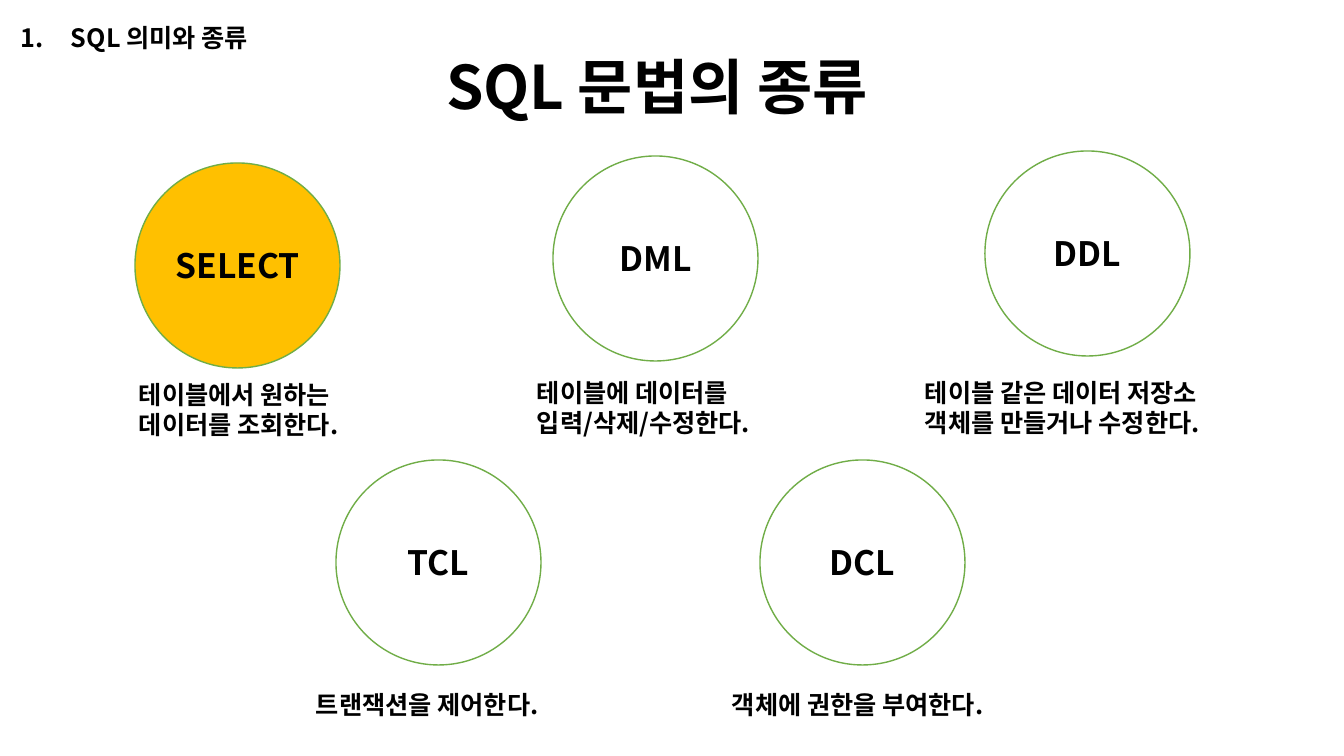
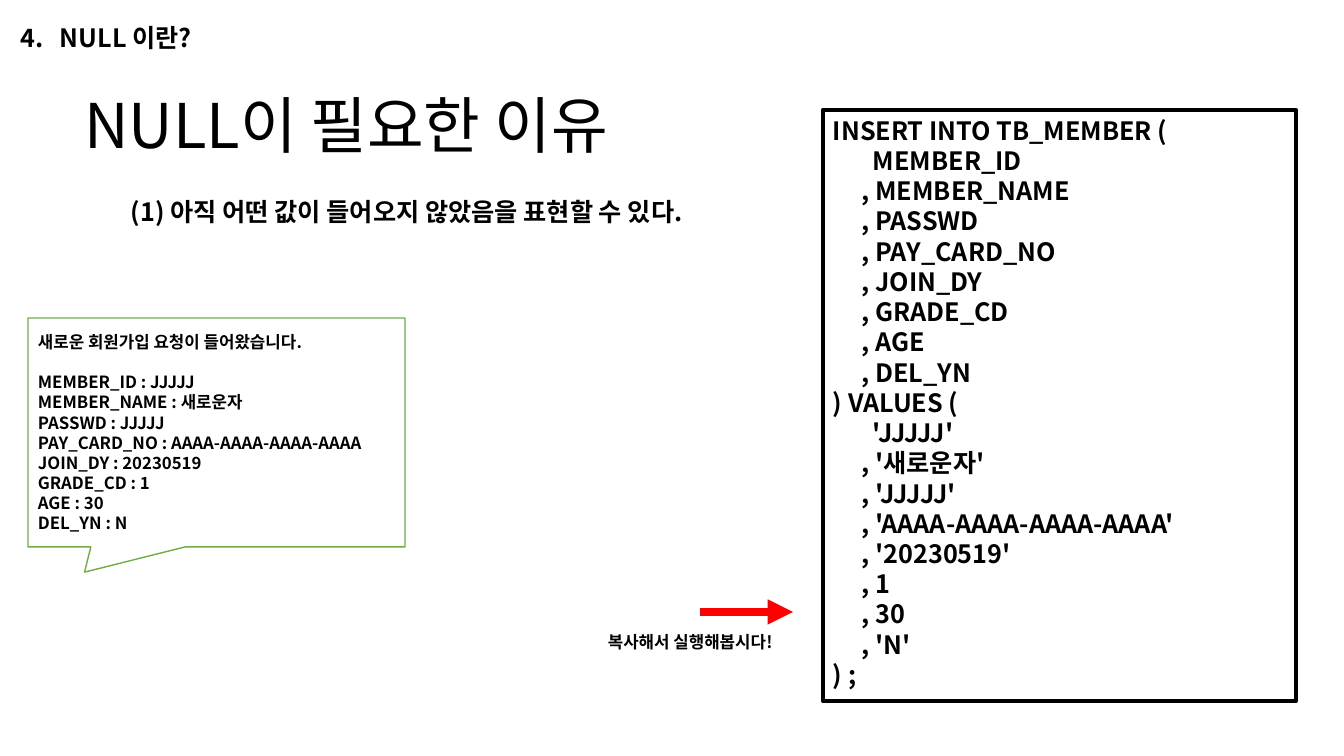
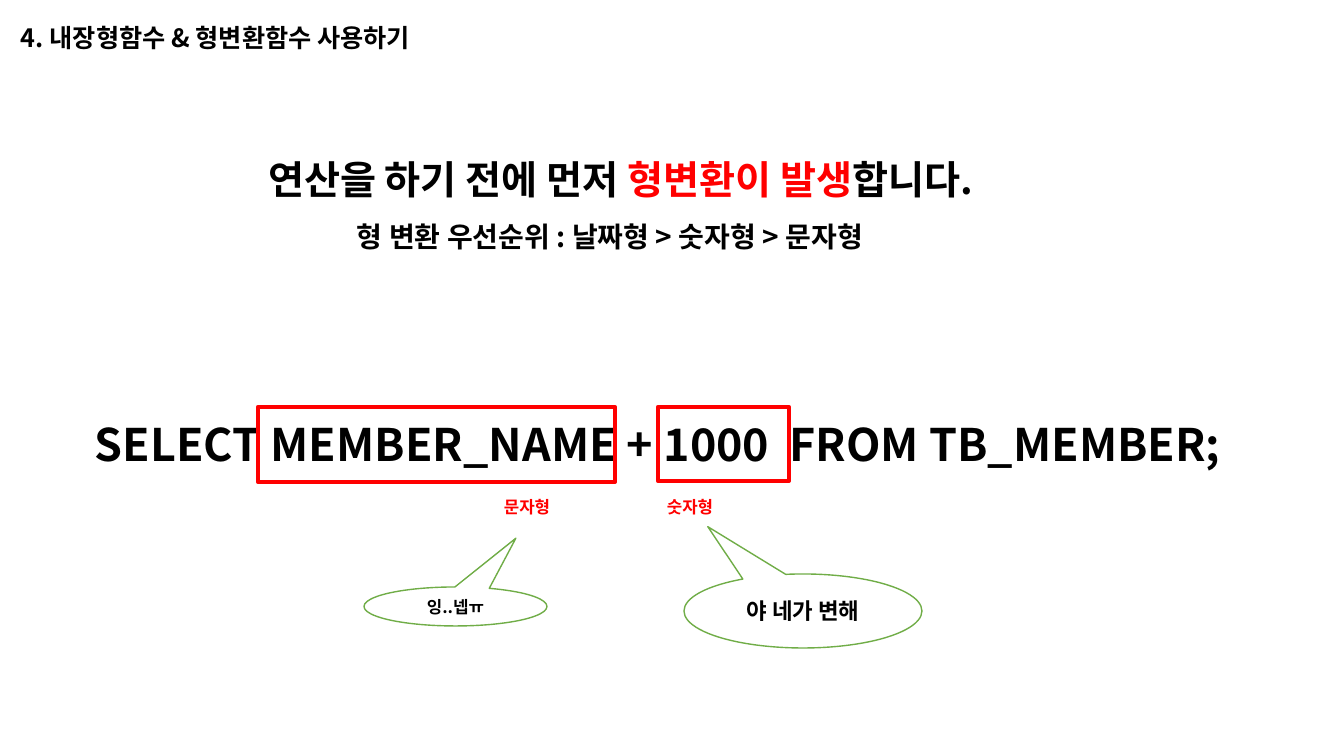
import dataclasses
import pptx
import pptx.util
import pptx.dml.color
import pptx.enum.shapes
import pptx.enum.text
import pptx.oxml
import pptx.oxml.ns

SHAPE = pptx.enum.shapes.MSO_SHAPE
ALIGN = pptx.enum.text.PP_ALIGN
ANCHOR = pptx.enum.text.MSO_ANCHOR
PX = 914400 / 100.8


@dataclasses.dataclass(frozen=True)
class Theme:
    font: str = "Noto Sans CJK KR"
    ink: str = "000000"
    paper: str = "FFFFFF"
    green: str = "70AD47"
    gold: str = "FFC000"
    red: str = "FF0000"
    title: float = 44
    fit: float = 42.9
    code: float = 32
    lead: float = 28
    name: float = 24
    rule: float = 20
    body: float = 18
    talk: float = 16
    small: float = 12
    thin: float = 1
    thick: float = 3
    arrow: float = 6


T = Theme()


def px(*nums):
    return [round(n * PX) for n in nums]


def rgb(code):
    return pptx.dml.color.RGBColor.from_string(code)


def style(item, values):
    for key, value in values.items():
        setattr(item, key, value)


def xml(parent, tag, **attrs):
    node = pptx.oxml.parse_xml(f"<a:{tag} {pptx.oxml.ns.nsdecls('a')}/>")
    for key, value in attrs.items():
        node.set(key, str(value))
    parent.append(node)


def write(shape, rows, size, color=T.ink, bold=True, align=ALIGN.LEFT,
          anchor=ANCHOR.TOP, wrap=True, lead=None):
    frame = shape.text_frame
    style(frame, {"word_wrap": wrap, "vertical_anchor": anchor,
                  "auto_size": pptx.enum.text.MSO_AUTO_SIZE.NONE})
    for i, row in enumerate(rows):
        para = frame.add_paragraph() if i else frame.paragraphs[0]
        style(para, {"alignment": align, "line_spacing": lead})
        for text, tint in [(row, color)] if isinstance(row, str) else row:
            run = para.add_run()
            run.text = text
            style(run.font, {"size": pptx.util.Pt(size), "bold": bold, "name": T.font})
            run.font.color.rgb = rgb(tint)
            xml(run._r.get_or_add_rPr(), "ea", typeface=T.font)
    return shape


def label(slide, box, rows, size=T.body, **look):
    return write(slide.shapes.add_textbox(*px(*box)), rows, size, **look)


def title(slide, box, rows, size, **look):
    shape = slide.shapes.title
    style(shape, dict(zip(("left", "top", "width", "height"), px(*box))))
    write(shape, rows, size, **look)


def draw(slide, kind, box, line, width, fill=None, adj=()):
    shape = slide.shapes.add_shape(kind, *px(*box))
    shape.shadow.inherit = False
    if fill:
        shape.fill.solid()
        shape.fill.fore_color.rgb = rgb(fill)
    else:
        shape.fill.background()
    shape.line.color.rgb = rgb(line)
    shape.line.width = pptx.util.Pt(width)
    for i, value in enumerate(adj):
        shape.adjustments[i] = value
    return shape


def head(slide, text, width, gap=0, auto=False):
    shape = label(slide, (11, 17, width, 40), [text])
    if gap:
        props = shape.text_frame.paragraphs[0]._p.get_or_add_pPr()
        indent = px(gap)[0]
        props.set("marL", str(indent))
        props.set("indent", str(-indent))
        if auto:
            xml(props, "buAutoNum", type="arabicPeriod")


def topic(slide, box, name, note, fill=T.paper):
    x, y, size, shift, drop, width = box
    disc = draw(slide, SHAPE.OVAL, (x, y, size, size), T.green, T.thin, fill)
    write(disc, [name], T.name, align=ALIGN.CENTER, anchor=ANCHOR.MIDDLE)
    label(slide, (x + shift, y + drop, width, 10 + 31 * len(note)), note)


def speech(slide, kind, box, adj, rows, size, align=ALIGN.CENTER):
    shape = draw(slide, kind, box, T.green, T.thin, T.paper, adj)
    return write(shape, rows, size, align=align, anchor=ANCHOR.MIDDLE)


def arrow(slide, x, y, width):
    line = slide.shapes.add_connector(
        pptx.enum.shapes.MSO_CONNECTOR.STRAIGHT, *px(x, y, x + width, y))
    line.line.color.rgb = rgb(T.red)
    line.line.width = pptx.util.Pt(T.arrow)
    xml(line.line._get_or_add_ln(), "tailEnd", type="triangle")
    xml(line._element.spPr, "effectLst")


def mark(slide, box, shift, text):
    x, y = box[:2]
    draw(slide, SHAPE.RECTANGLE, box, T.red, T.thick)
    label(slide, (x + shift, y + 85, 72, 30), [text], T.small, color=T.red, wrap=False)


def kinds(slide):
    title(slide, (436, 51, 485, 78), ["SQL 문법의 종류"], T.fit,
          anchor=ANCHOR.MIDDLE, lead=0.9)
    head(slide, "SQL 의미와 종류", 267, 50, True)
    for box, name, note, fill in (
        ((135, 163, 205, -6, 211, 247), "SELECT",
         ["테이블에서 원하는", "데이터를 조회한다."], T.gold),
        ((553, 156, 205, -26, 216, 258), "DML",
         ["테이블에 데이터를", "입력/삭제/수정한다."], T.paper),
        ((985, 151, 205, -70, 221, 345), "DDL",
         ["테이블 같은 데이터 저장소", "객체를 만들거나 수정한다."], T.paper),
        ((336, 460, 205, -30, 224, 271), "TCL", ["트랜잭션을 제어한다."], T.paper),
        ((760, 460, 205, -38, 224, 314), "DCL", ["객체에 권한을 부여한다."], T.paper),
    ):
        topic(slide, box, name, note, fill)


def null(slide):
    title(slide, (74, 56, 1159, 146), ["NULL이 필요한 이유"], T.title,
          bold=False, anchor=ANCHOR.MIDDLE, lead=0.9)
    head(slide, "4.\tNULL 이란?", 267, 39)
    label(slide, (121, 191, 916, 40),
          ["(1) 아직 어떤 값이 들어오지 않았음을 표현할 수 있다."])
    code = draw(slide, SHAPE.RECTANGLE, (823, 110, 473, 591), T.ink, T.thick)
    write(code, [
        "INSERT INTO TB_MEMBER (",
        "       MEMBER_ID",
        "     , MEMBER_NAME",
        "     , PASSWD",
        "     , PAY_CARD_NO",
        "     , JOIN_DY",
        "     , GRADE_CD",
        "     , AGE",
        "     , DEL_YN",
        ") VALUES (",
        "       'JJJJJ'",
        "     , '새로운자'",
        "     , 'JJJJJ'",
        "     , 'AAAA-AAAA-AAAA-AAAA'",
        "     , '20230519'",
        "     , 1",
        "     , 30",
        "     , 'N'",
        ") ;",
    ], T.body)
    arrow(slide, 700, 612, 93)
    label(slide, (598, 627, 195, 30), ["복사해서 실행해봅시다!"], T.small)
    note = speech(slide, SHAPE.RECTANGULAR_CALLOUT, (28, 318, 377, 229), (-0.35, 0.61), [
        "새로운 회원가입 요청이 들어왔습니다.",
        "MEMBER_ID : JJJJJ",
        "MEMBER_NAME : 새로운자",
        "PASSWD : JJJJJ",
        "PAY_CARD_NO : AAAA-AAAA-AAAA-AAAA",
        "JOIN_DY : 20230519",
        "GRADE_CD : 1",
        "AGE : 30",
        "DEL_YN : N",
    ], T.small, ALIGN.LEFT)
    note.text_frame.paragraphs[1].space_before = pptx.util.Pt(14.4)


def cast(slide):
    title(slide, (258, 150, 828, 57), [[
        ("연산을 하기 전에 먼저 ", T.ink), ("형변환이 발생", T.red), ("합니다.", T.ink),
    ]], T.lead)
    head(slide, "4. 내장형함수 & 형변환함수 사용하기", 591)
    label(slide, (347, 215, 610, 44),
          ["형 변환 우선순위 : 날짜형 > 숫자형 > 문자형"], T.rule)
    label(slide, (85, 412, 1175, 65),
          ["SELECT MEMBER_NAME + 1000  FROM TB_MEMBER;"], T.code)
    mark(slide, (258, 407, 357, 75), 236, "문자형")
    mark(slide, (658, 407, 131, 74), -1, "숫자형")
    oval = SHAPE.OVAL_CALLOUT
    speech(slide, oval, (684, 574, 238, 74), (-0.4, -1.14), ["야 네가 변해"], T.talk)
    speech(slide, oval, (364, 587, 183, 39), (0.33, -1.75), ["잉..넵ㅠ"], T.small)


def main():
    deck = pptx.Presentation()
    deck.slide_width, deck.slide_height = px(1344, 756)
    for build in (kinds, null, cast):
        build(deck.slides.add_slide(deck.slide_layouts[5]))
    deck.save("out.pptx")


if __name__ == "__main__":
    main()
